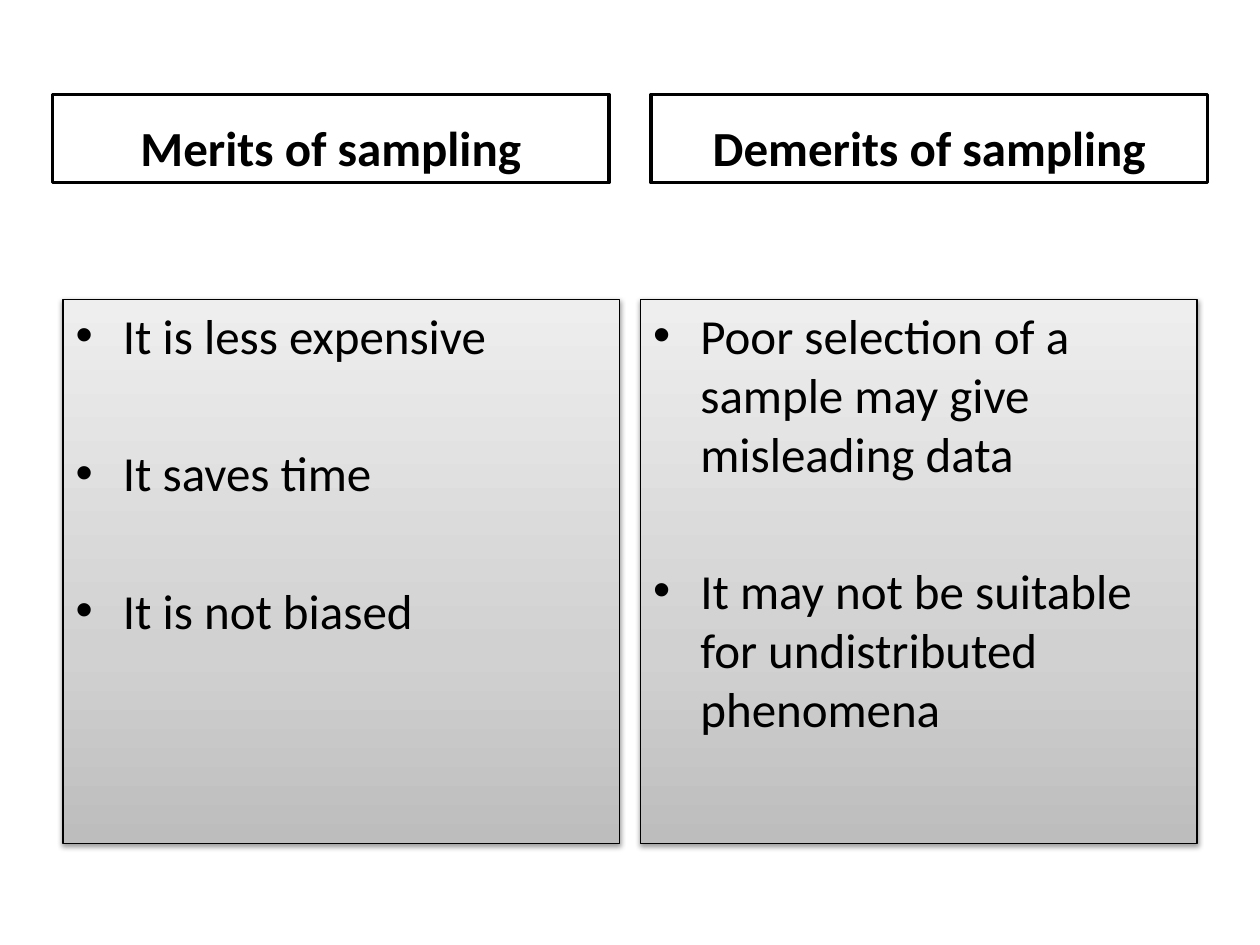
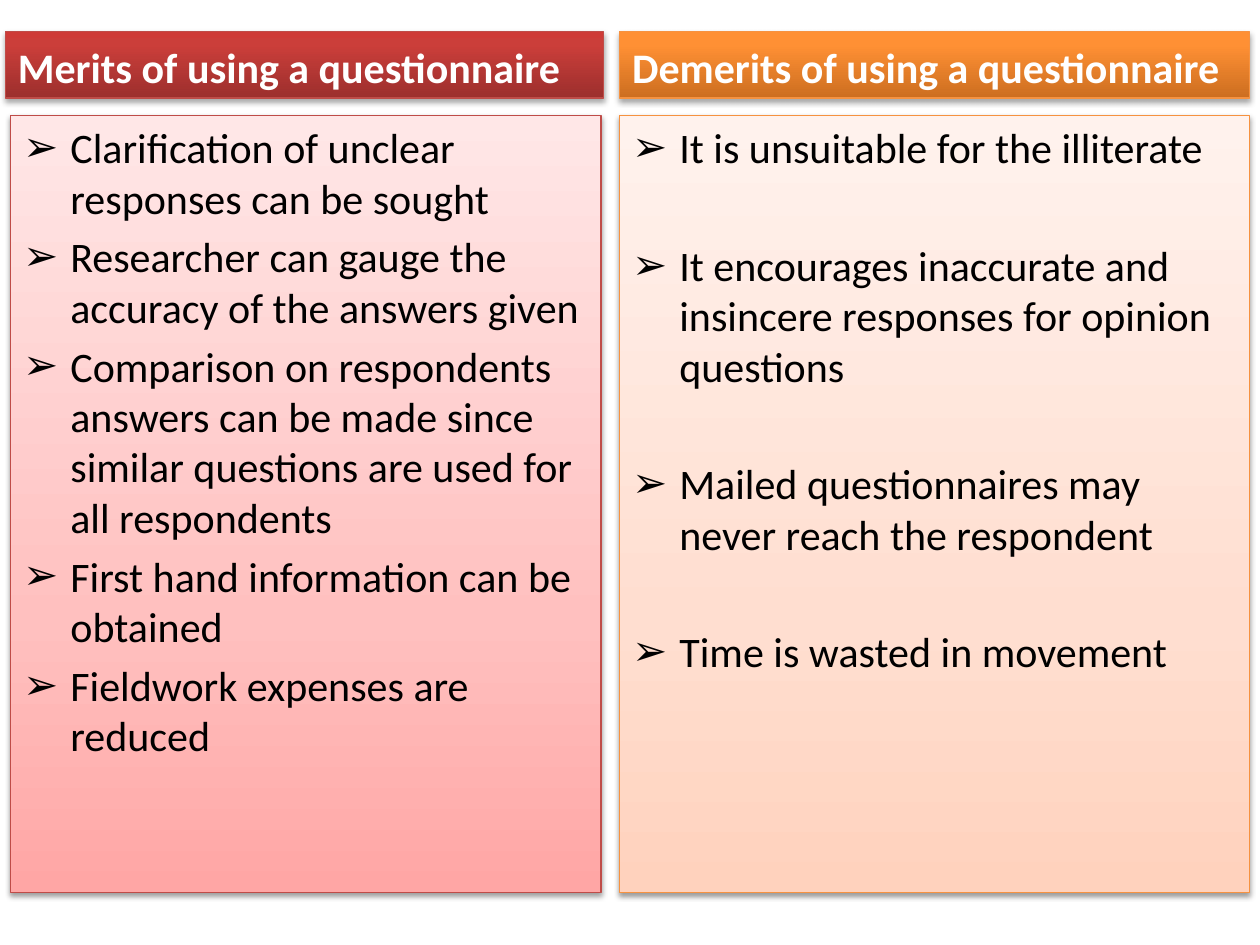
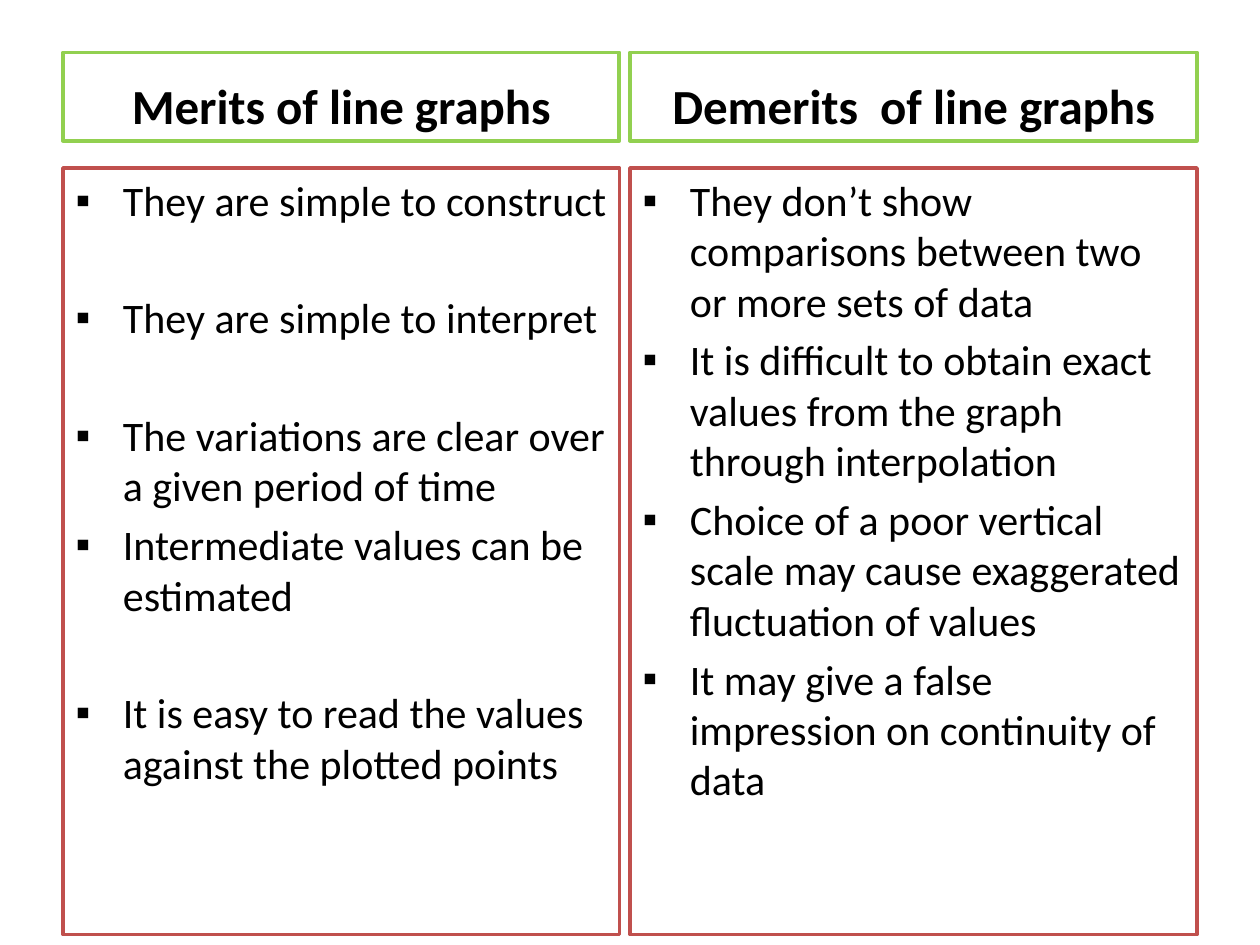
from lxml import etree
from pptx import Presentation
from pptx.dml.color import RGBColor
from pptx.enum import text
from pptx.oxml.ns import qn
from pptx.util import Pt

# Shared style
FONT = "Calibri"
BLACK, WHITE, RED, GREEN = "000000", "FFFFFF", "C0504D", "92D050"
INDENT = 27
ITEM_GAP, GROUP_GAP = 0.2, 1.6  # space before, as a share of the text size
HEADING_SHADOW = dict(alpha=35, blur=3.1, distance=1.8)
PANEL_SHADOW = dict(alpha=38, blur=3.1, distance=1.6)
GREY = [(0, "BDBDBD"), (35, "D1D1D1"), (100, "EEEEEE")]
DARK_RED = [(0, "9C2F2D"), (80, "CB3E3A"), (100, "CE3B37")]
PINK = [(0, "FFA6A5"), (35, "FFC0BF"), (100, "FFE7E7")]
ORANGE = [(0, "CC6E20"), (80, "FF9034"), (100, "FF9136")]
PEACH = [(0, "FFD2BD"), (35, "FFDED0"), (100, "FFF2ED")]

# Content: each column has a heading and groups of points; a wide gap parts the groups.
# Heads and panels are (left, width); rows are (top, height).
# Looks are (fill, line colour, line width, shadow).
PLAIN_HEAD = (WHITE, BLACK, 2, None)
GREY_PANEL = (GREY, BLACK, 0.75, PANEL_SHADOW)
GREEN_HEAD = (None, GREEN, 2.25, None)
RED_PANEL = (WHITE, RED, 2, None)

COMPARISONS = [
    dict(
        bullet="•", heading_size=28, size=28, align=text.PP_ALIGN.CENTER,
        heading_row=(54, 50.4), panel_row=(171, 311),
        columns=[
            dict(heading="Merits of sampling", head=(30, 318), panel=(36, 318),
                 looks=(PLAIN_HEAD, GREY_PANEL),
                 groups=[["It is less expensive"], ["It saves time"], ["It is not biased"]]),
            dict(heading="Demerits of sampling", head=(372, 318), panel=(366, 318),
                 looks=(PLAIN_HEAD, GREY_PANEL),
                 groups=[["Poor selection of a sample may give misleading data"],
                         ["It may not be suitable for undistributed phenomena"]]),
        ]),
    dict(
        bullet="➢", heading_size=24, size=24, align=text.PP_ALIGN.LEFT,
        heading_row=(18, 38), panel_row=(66, 444),
        columns=[
            dict(heading="Merits of using a questionnaire", head=(3, 342), panel=(6, 337.5),
                 looks=((DARK_RED, "BF4C48", 0.75, HEADING_SHADOW),
                        (PINK, "BF4C48", 0.75, PANEL_SHADOW)),
                 groups=[["Clarification of unclear responses can be sought",
                          "Researcher can gauge the accuracy of the answers given",
                          "Comparison on respondents answers can be made since "
                          "similar questions are used for all respondents",
                          "First hand information can be obtained",
                          "Fieldwork expenses are reduced"]]),
            dict(heading="Demerits of using a questionnaire", head=(354, 360), panel=(354, 360),
                 looks=((ORANGE, "F69240", 0.75, HEADING_SHADOW),
                        (PEACH, "F69240", 0.75, PANEL_SHADOW)),
                 groups=[["It is unsuitable for the illiterate"],
                         ["It encourages inaccurate and insincere responses for opinion questions"],
                         ["Mailed questionnaires may never reach the respondent"],
                         ["Time is wasted in movement"]]),
        ]),
    dict(
        bullet="▪", heading_size=28, size=24, align=text.PP_ALIGN.CENTER,
        heading_row=(30, 50.4), panel_row=(96, 438),
        columns=[
            dict(heading="Merits of line graphs", head=(36, 318), panel=(36, 318),
                 looks=(GREEN_HEAD, RED_PANEL),
                 groups=[["They are simple to construct"],
                         ["They are simple to interpret"],
                         ["The variations are clear over a given period of time",
                          "Intermediate values can be estimated"],
                         ["It is easy to read the values against the plotted points"]]),
            dict(heading="Demerits  of line graphs", head=(360, 324), panel=(360, 324),
                 looks=(GREEN_HEAD, RED_PANEL),
                 groups=[["They don’t show comparisons between two or more sets of data",
                          "It is difficult to obtain exact values from the graph "
                          "through interpolation",
                          "Choice of a poor vertical scale may cause exaggerated "
                          "fluctuation of values",
                          "It may give a false impression on continuity of data"]]),
        ]),
]


def color(value):
    return RGBColor.from_string(value)


def add_xml(parent, tag, **attributes):
    values = {name: str(value) for name, value in attributes.items()}
    return etree.SubElement(parent, qn(tag), values)


def place(box, span, row):
    (left, width), (top, height) = span, row
    box.left, box.top, box.width, box.height = Pt(left), Pt(top), Pt(width), Pt(height)


def decorate(box, look):
    fill, line_color, line_width, shadow = look
    if fill is None:
        box.fill.background()
    elif isinstance(fill, str):
        box.fill.solid()
        box.fill.fore_color.rgb = color(fill)
    else:
        box.fill.gradient()
        box.fill.gradient_angle = 90
        stops = box.element.spPr.find(".//" + qn("a:gsLst"))
        stops.clear()
        for position, stop_color in fill:
            stop = add_xml(stops, "a:gs", pos=position * 1000)
            add_xml(stop, "a:srgbClr", val=stop_color)
    box.line.color.rgb = color(line_color)
    box.line.width = Pt(line_width)
    box.shadow.inherit = False
    if shadow:
        effects = box.element.spPr.find(qn("a:effectLst"))
        outer = add_xml(effects, "a:outerShdw", blurRad=Pt(shadow["blur"]),
                        dist=Pt(shadow["distance"]), dir=90 * 60000, rotWithShape=0)
        shade = add_xml(outer, "a:srgbClr", val=BLACK)
        add_xml(shade, "a:alpha", val=shadow["alpha"] * 1000)


def write(paragraph, words, size, font_color, before=0, bold=False):
    paragraph.text = words
    paragraph.space_before = Pt(before)
    paragraph.font.name = FONT
    paragraph.font.size = Pt(size)
    paragraph.font.bold = bold
    paragraph.font.color.rgb = color(font_color)


def add_bullet(paragraph, mark):
    properties = paragraph._p.get_or_add_pPr()
    properties.set("marL", str(Pt(INDENT)))
    properties.set("indent", str(-Pt(INDENT)))
    add_xml(properties, "a:buFont", typeface="Arial")
    add_xml(properties, "a:buChar", char=mark)


def fill_heading(box, column, comparison):
    look = column["looks"][0]
    place(box, column["head"], comparison["heading_row"])
    decorate(box, look)
    frame = box.text_frame
    frame.auto_size = text.MSO_AUTO_SIZE.NONE
    frame.vertical_anchor = text.MSO_ANCHOR.BOTTOM
    heading = frame.paragraphs[0]
    heading.alignment = comparison["align"]
    font_color = WHITE if isinstance(look[0], list) else BLACK
    write(heading, column["heading"], comparison["heading_size"], font_color, bold=True)


def fill_panel(box, column, comparison):
    place(box, column["panel"], comparison["panel_row"])
    decorate(box, column["looks"][1])
    frame = box.text_frame
    frame.auto_size = text.MSO_AUTO_SIZE.NONE
    size = comparison["size"]
    point = None
    for group in column["groups"]:
        for index, words in enumerate(group):
            if point is None:
                point, gap = frame.paragraphs[0], 0
            else:
                point, gap = frame.add_paragraph(), ITEM_GAP if index else GROUP_GAP
            add_bullet(point, comparison["bullet"])
            write(point, words, size, BLACK, before=round(gap * size, 1))


def main():
    deck = Presentation()
    deck.slide_width, deck.slide_height = Pt(720), Pt(540)
    comparison_layout = deck.slide_layouts[4]
    for comparison in COMPARISONS:
        slide = deck.slides.add_slide(comparison_layout)
        title, *boxes = slide.placeholders
        title.element.getparent().remove(title.element)
        # Placeholders come as heading, panel, heading, panel
        for column, heading, panel in zip(comparison["columns"], boxes[::2], boxes[1::2]):
            fill_heading(heading, column, comparison)
            fill_panel(panel, column, comparison)
    deck.save("out.pptx")


if __name__ == "__main__":
    main()
